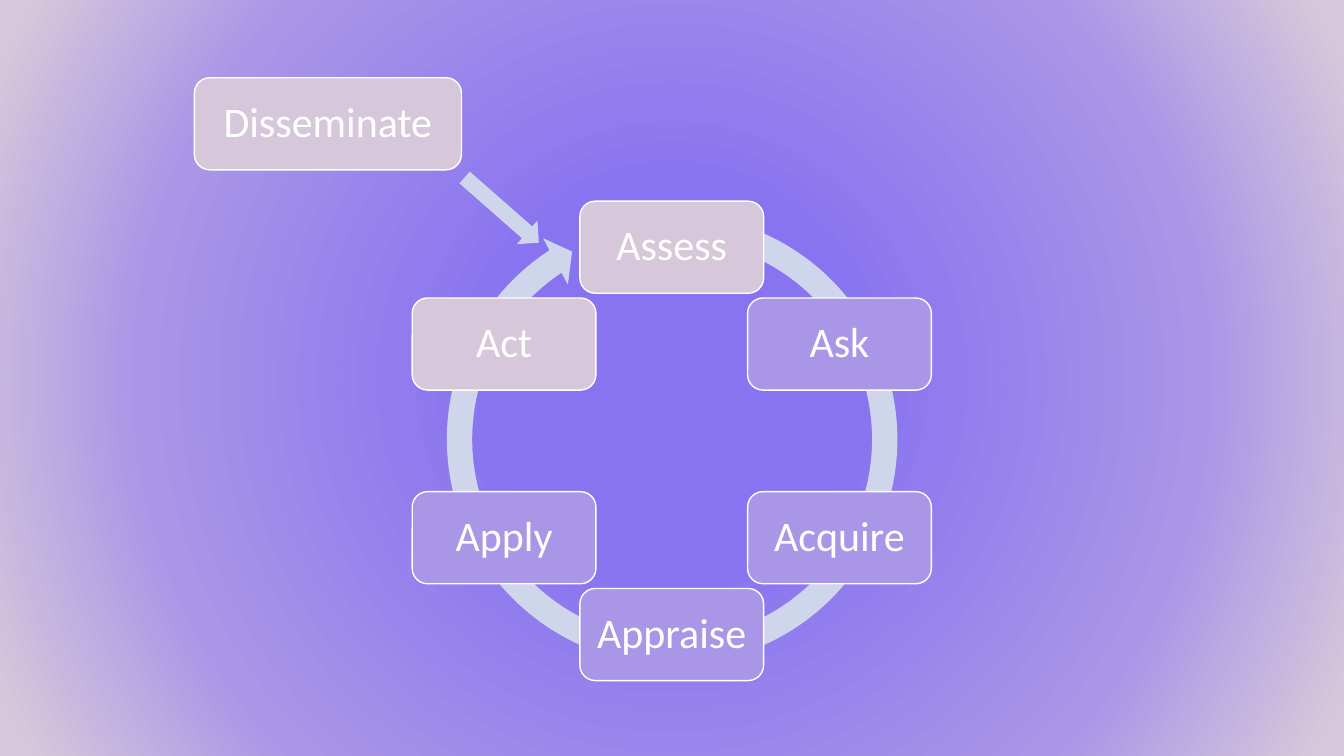
from math import cos, radians, sin

from pptx import Presentation
from pptx.dml.color import RGBColor as Rgb
from pptx.enum.shapes import MSO_SHAPE as Kind
from pptx.enum.text import MSO_ANCHOR as Anchor, PP_ALIGN as Align
from pptx.oxml import parse_xml
from pptx.oxml.ns import nsdecls
from pptx.util import Cm, Pt

# Content: steps clockwise from the top, each with its colour
STEPS = [
    ("Assess", "rose"),
    ("Ask", "lilac"),
    ("Acquire", "lilac"),
    ("Appraise", "lilac"),
    ("Apply", "lilac"),
    ("Act", "rose"),
]
EXTRA = ("Disseminate", "rose")

THEME = {
    "rose": "D6C8DA",
    "lilac": "A996E7",
    "violet": "8873F1",
    "arrow": "CFD5EA",
    "white": "FFFFFF",
    "font": "Calibri",
    "size": 30,
    "line": 1,
}
STOPS = [(0, "violet"), (23, "violet"), (69, "lilac"), (97, "rose")]

# Layout in centimetres
WIDE, HIGH = 33.87, 19.05
MID_X, MID_Y, RADIUS = 16.93, 11.11, 4.88
BOX_W, BOX_H, INSET = 4.63, 2.32, 0.3
RING = (10.92, 5.05, 12.04, 12.04)
RING_ADJ = (0.053, 3.126, 142.039, 171.412, 0.055)
EXTRA_AT = (4.9, 1.96, 6.73, BOX_H)
ARROW, TURN = (11.4, 4.9, 2.49, 0.79), 41.3


def paint(slide):
    stops = "".join(
        f'<a:gs pos="{pos * 1000}"><a:srgbClr val="{THEME[tone]}"/></a:gs>'
        for pos, tone in STOPS
    )
    back = parse_xml(
        f'<p:bg {nsdecls("p", "a")}><p:bgPr><a:gradFill rotWithShape="1">'
        f'<a:gsLst>{stops}</a:gsLst><a:path path="circle">'
        '<a:fillToRect l="50000" t="50000" r="50000" b="50000"/></a:path>'
        '</a:gradFill><a:effectLst/></p:bgPr></p:bg>'
    )
    slide.element.cSld.insert(0, back)


def add_form(slide, kind, area, tone):
    form = slide.shapes.add_shape(kind, *(Cm(n) for n in area))
    form.shadow.inherit = False
    form.fill.solid()
    form.fill.fore_color.rgb = Rgb.from_string(THEME[tone])
    form.line.fill.background()
    return form


def add_box(slide, label, tone, area):
    box = add_form(slide, Kind.ROUNDED_RECTANGLE, area, tone)
    white = Rgb.from_string(THEME["white"])
    box.line.color.rgb = white
    box.line.width = Pt(THEME["line"])
    frame = box.text_frame
    frame.word_wrap = True
    frame.vertical_anchor = Anchor.MIDDLE
    frame.margin_left = frame.margin_right = Cm(INSET)
    frame.margin_top = frame.margin_bottom = Cm(INSET)
    para = frame.paragraphs[0]
    para.text = label
    para.alignment = Align.CENTER
    para.line_spacing = 0.9
    para.font.name = THEME["font"]
    para.font.size = Pt(THEME["size"])
    para.font.color.rgb = white


def main():
    deck = Presentation()
    deck.slide_width, deck.slide_height = Cm(WIDE), Cm(HIGH)
    slide = deck.slides.add_slide(deck.slide_layouts[6])
    paint(slide)

    # Ring behind the steps
    ring = add_form(slide, Kind.CIRCULAR_ARROW, RING, "arrow")
    for i, value in enumerate(RING_ADJ):
        ring.adjustments[i] = value

    # Steps spaced evenly round the ring
    for i, (label, tone) in enumerate(STEPS):
        angle = radians(360 / len(STEPS) * i - 90)
        left = MID_X + RADIUS * cos(angle) - BOX_W / 2
        top = MID_Y + RADIUS * sin(angle) - BOX_H / 2
        add_box(slide, label, tone, (left, top, BOX_W, BOX_H))

    # Extra step and its arrow into the ring
    add_box(slide, *EXTRA, EXTRA_AT)
    arrow = add_form(slide, Kind.RIGHT_ARROW, ARROW, "arrow")
    arrow.rotation = TURN

    deck.save("out.pptx")


if __name__ == "__main__":
    main()
